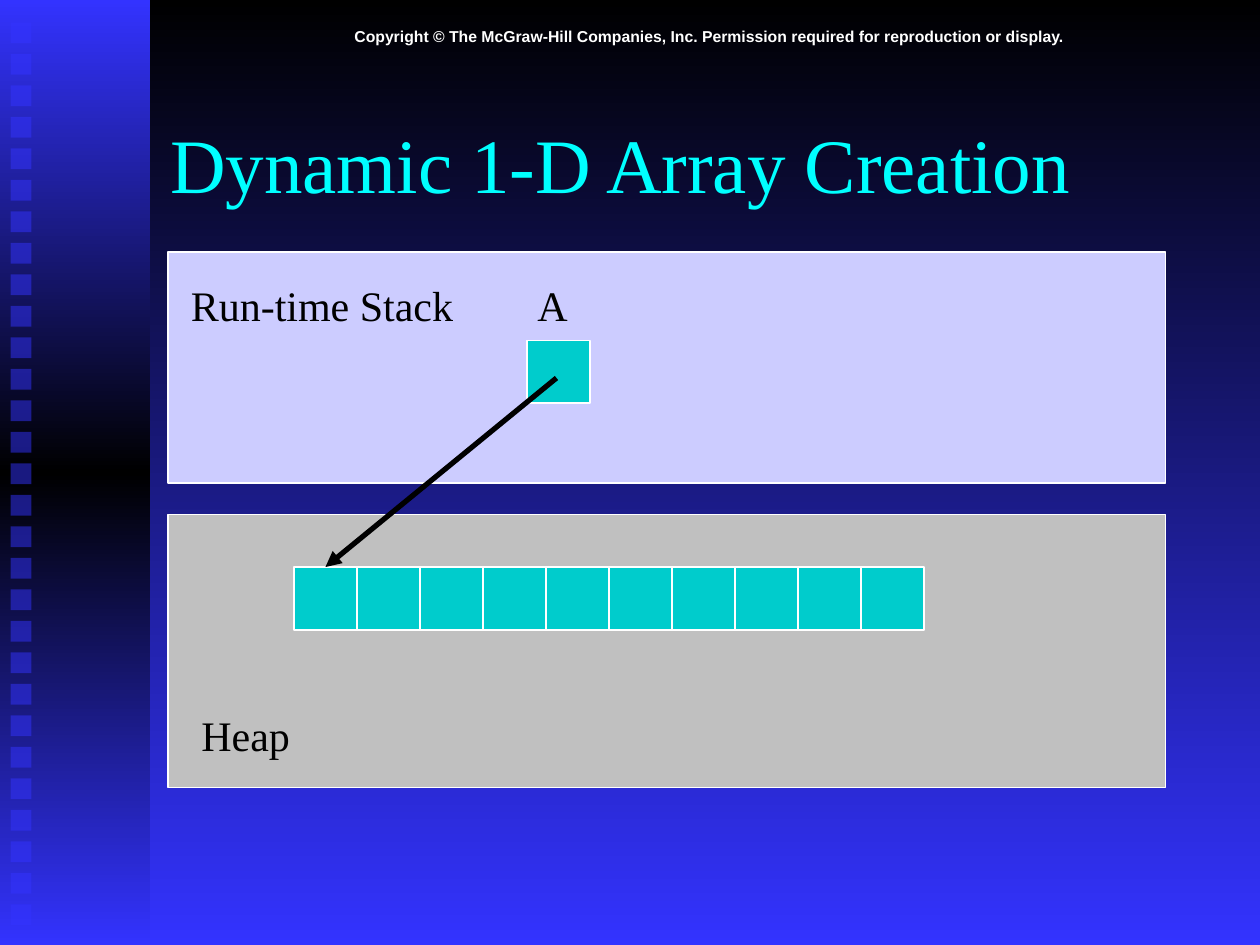
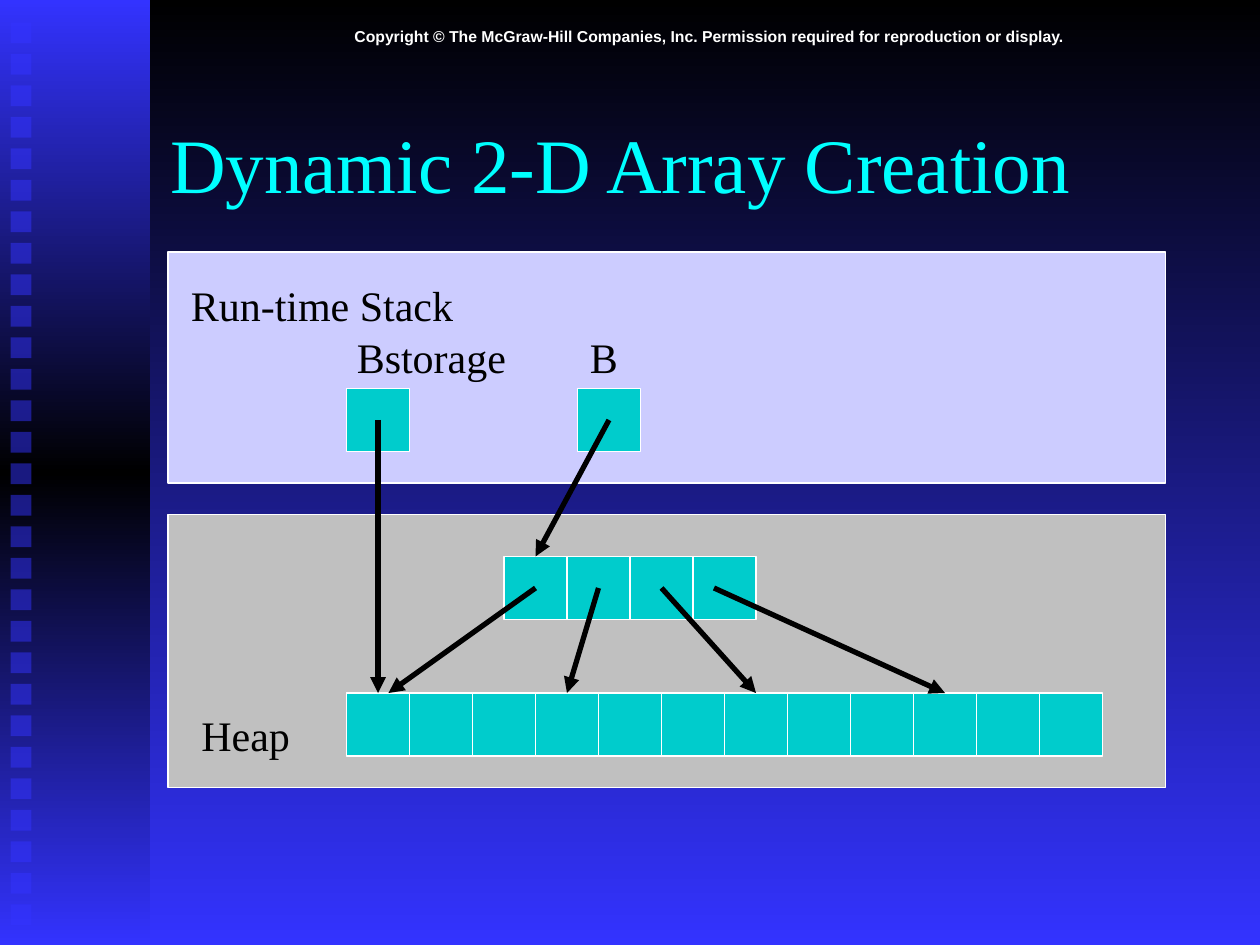
import copy

import lxml.etree
import pptx
import pptx.dml.color
import pptx.enum.shapes
import pptx.enum.text
import pptx.oxml.ns
import pptx.util

COLS, ROWS = 120, 90
CELL = 6
BLUE, BLACK, WHITE = "3333FF", "000000", "FFFFFF"
STACK, HEAP, CELL_FILL = "CCCCFF", "C0C0C0", "00CCCC"
COPYRIGHT = ("Copyright © The McGraw-Hill Companies, Inc. "
             "Permission required for reproduction or display.")
TITLE_FONT = {"name": "Times New Roman", "size": pptx.util.Pt(44), "color": "00FFFF"}
LABEL_FONT = {"name": "Times New Roman", "size": pptx.util.Pt(24), "color": BLACK}
NOTICE_FONT = {"name": "Arial", "size": pptx.util.Pt(9), "bold": True, "color": WHITE}
ALIGN = pptx.enum.text.PP_ALIGN


def rgb(value):
    return pptx.dml.color.RGBColor.from_string(value)


def add_child(parent, tag, **attrs):
    return lxml.etree.SubElement(parent, pptx.oxml.ns.qn(tag), attrs)


class Deck:
    def __init__(self):
        self.prs = pptx.Presentation()
        self.prs.slide_width = pptx.util.Inches(10)
        self.prs.slide_height = pptx.util.Inches(7.5)
        self.s = None

    def place(self, col, row, *more):
        dx, dy = self.prs.slide_width / COLS, self.prs.slide_height / ROWS
        return [round(v * d) for v, d in zip((col, row, *more), (dx, dy, dx, dy))]

    def gradient(self, fill, element, colors):
        fill.gradient()
        fill.gradient_angle = 270
        stops = element.xpath(".//a:gsLst")[0]
        while len(stops) < len(colors):
            stops.append(copy.deepcopy(stops[0]))
        for i, (stop, color) in enumerate(zip(fill.gradient_stops, colors)):
            stop.color.rgb = rgb(color)
            stop.position = i / (len(colors) - 1)

    def set_text(self, sp, text, font, align=ALIGN.LEFT, wrap=True,
                 anchor=pptx.enum.text.MSO_ANCHOR.TOP):
        tf = sp.text_frame
        frame = {"auto_size": pptx.enum.text.MSO_AUTO_SIZE.NONE,
                 "word_wrap": wrap, "vertical_anchor": anchor}
        for name, value in frame.items():
            setattr(tf, name, value)
        p = tf.paragraphs[0]
        p.alignment = align
        r = p.add_run()
        r.text = text
        for name, value in font.items():
            if name == "color":
                r.font.color.rgb = rgb(value)
            else:
                setattr(r.font, name, value)

    def rect(self, col, row, cols, rows, fill=None, line=None, alpha=None):
        sp = self.s.shapes.add_shape(pptx.enum.shapes.MSO_SHAPE.RECTANGLE,
                                     *self.place(col, row, cols, rows))
        sp.shadow.inherit = False
        if fill:
            sp.fill.solid()
            sp.fill.fore_color.rgb = rgb(fill)
        if alpha:
            color = sp.element.xpath("./p:spPr/a:solidFill/a:srgbClr")[0]
            add_child(color, "a:alpha", val=str(alpha * 1000))
        if line:
            sp.line.color.rgb = rgb(line)
            sp.line.width = pptx.util.Pt(0.75)
        else:
            sp.line.fill.background()
        return sp

    def text(self, col, row, cols, rows, text, font, **layout):
        sp = self.s.shapes.add_textbox(*self.place(col, row, cols, rows))
        self.set_text(sp, text, font, **layout)

    def label(self, col, row, cols, text):
        self.text(col, row, cols, CELL, text, LABEL_FONT, wrap=False)

    def cells(self, col, row, count=1):
        for i in range(count):
            self.rect(col + i * CELL, row, CELL, CELL, CELL_FILL, WHITE)

    def arrow(self, start, end):
        sp = self.s.shapes.add_connector(pptx.enum.shapes.MSO_CONNECTOR.STRAIGHT,
                                         *self.place(*start, *end))
        sp.line.color.rgb = rgb(BLACK)
        sp.line.width = pptx.util.Pt(3)
        props = sp.element.spPr
        add_child(props.xpath("./a:ln")[0], "a:tailEnd", type="triangle")
        add_child(props, "a:effectLst")

    def title(self, text):
        sp = self.s.shapes.title
        box = self.place(15, 8, 102, 15)
        for name, value in zip(("left", "top", "width", "height"), box):
            setattr(sp, name, value)
        self.set_text(sp, text, TITLE_FONT, anchor=pptx.enum.text.MSO_ANCHOR.MIDDLE)

    def sidebar(self):
        band = self.rect(0, 0, 14.28, ROWS)
        self.gradient(band.fill, band.element, [BLUE, BLACK, BLUE])
        for i in range(29):
            self.rect(1, 2.12 + 3 * i, 2, 2, BLUE, alpha=50)

    def memory_slide(self, title):
        self.s = self.prs.slides.add_slide(self.prs.slide_layouts[5])
        self.gradient(self.s.background.fill, self.s.element, [BLACK, BLUE])
        self.sidebar()
        self.text(15, 2, 105, 3, COPYRIGHT, NOTICE_FONT, align=ALIGN.CENTER)
        self.title(title)
        self.rect(16, 24, 95, 22, STACK, WHITE)
        self.rect(16, 49, 95, 26, HEAP, WHITE)
        self.label(17, 26, 27.4, "Run-time Stack")
        self.label(18, 67, 10.8, "Heap")


def one_dimensional(deck):
    deck.memory_slide("Dynamic 1-D Array Creation")
    deck.label(50, 26, 5.3, "A")
    deck.cells(50.2, 32.4)
    deck.cells(28, 54, 10)
    deck.arrow((53, 36), (31, 54))


def two_dimensional(deck):
    deck.memory_slide("Dynamic 2-D Array Creation")
    deck.label(32.8, 31, 16.6, "Bstorage")
    deck.label(55, 31, 5, "B")
    deck.cells(33, 37)
    deck.cells(55, 37)
    deck.cells(33, 66, 12)
    deck.cells(48, 53, 4)
    deck.arrow((36, 40), (36, 66))
    deck.arrow((58, 40), (51, 53))
    for start, end in zip((51, 57, 63, 68), (37, 54, 72, 90)):
        deck.arrow((start, 56), (end, 66))


def main():
    deck = Deck()
    one_dimensional(deck)
    two_dimensional(deck)
    deck.prs.save("out.pptx")


if __name__ == "__main__":
    main()
